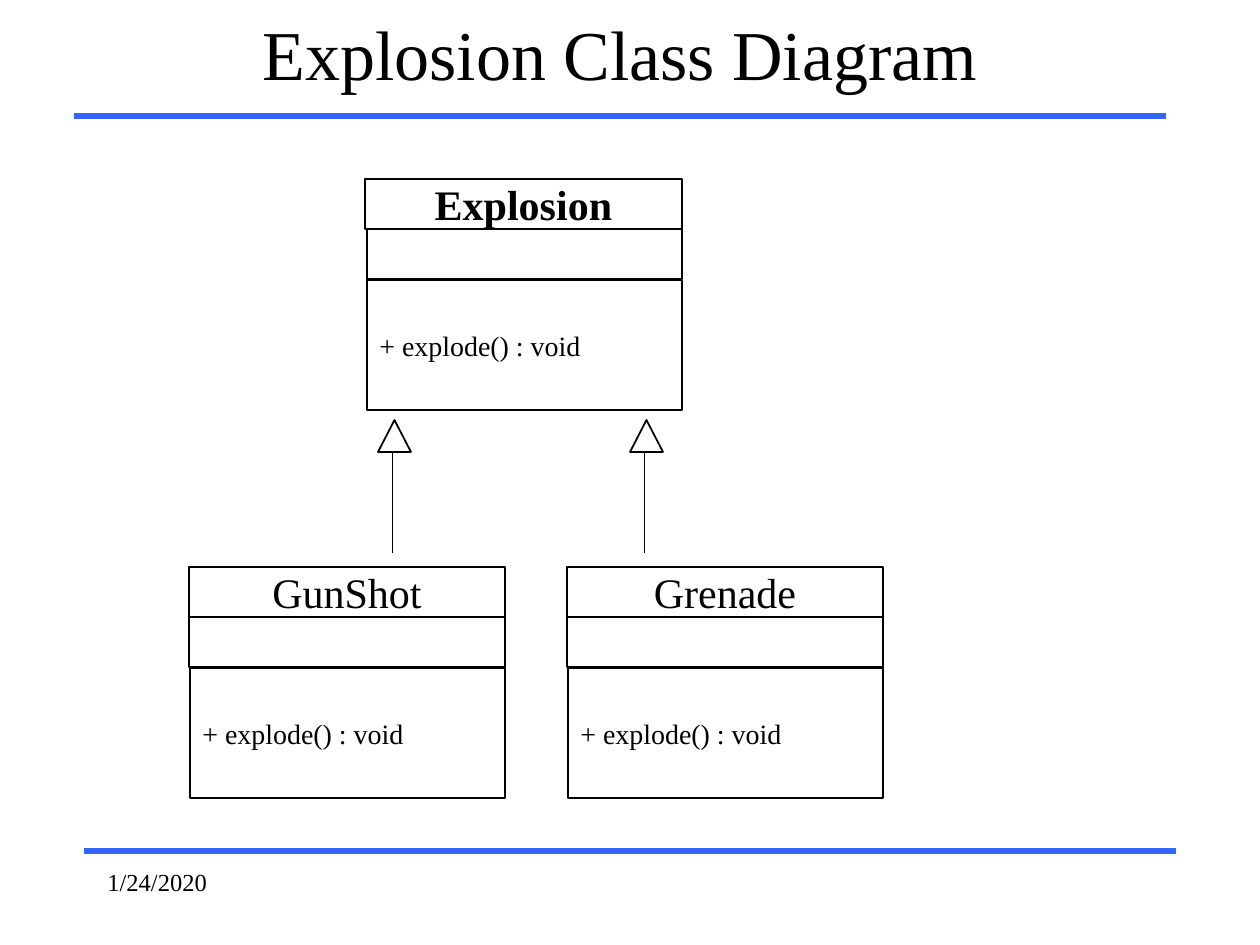
from dataclasses import dataclass

from lxml import etree
from pptx import Presentation
from pptx import util as u
from pptx.dml.color import RGBColor
from pptx.enum import shapes, text
from pptx.oxml import ns

BLACK = RGBColor(0x00, 0x00, 0x00)
WHITE = RGBColor(0xFF, 0xFF, 0xFF)
BLUE = RGBColor(0x33, 0x66, 0xFF)
FONT = "Times New Roman"
LEFT, MID = text.PP_ALIGN.LEFT, text.PP_ALIGN.CENTER
TOP, CORE = text.MSO_ANCHOR.TOP, text.MSO_ANCHOR.MIDDLE
WIDE, ROW, BODY = 316, 50, 130


@dataclass
class Class:
    name: str
    x: int
    y: int
    bold: bool = False
    shift: int = 0  # inset of the attribute row
    inset: int = 1  # inset of the method row


CLASSES = [
    Class("GunShot", 189, 567),
    Class("Explosion", 365, 179, True, 2, 2),
    Class("Grenade", 567, 567),
]
ARROWS = [378, 630]


def px(n: int) -> u.Emu:
    return u.Emu(round(n * u.Inches(1) / 126))


def write(shape, words: str, size: int, align, anchor, bold: bool = False) -> None:
    frame = shape.text_frame
    form = {"word_wrap": True, "vertical_anchor": anchor}
    for key, val in form.items():
        setattr(frame, key, val)
    para = frame.paragraphs[0]
    para.alignment = align
    run = para.add_run()
    run.text = words
    for key, val in {"name": FONT, "size": u.Pt(size), "bold": bold}.items():
        setattr(run.font, key, val)
    run.font.color.rgb = BLACK


def label(tree, box: tuple[int, ...], words: str, size: int, align, anchor) -> None:
    write(tree.add_textbox(*map(px, box)), words, size, align, anchor)


def block(tree, kind, box: tuple[int, ...], width: float):
    shape = tree.add_shape(kind, *map(px, box))
    shape.shadow.inherit = False
    shape.fill.solid()
    shape.fill.fore_color.rgb = WHITE
    shape.line.color.rgb = BLACK
    shape.line.width = u.Pt(width)
    return shape


def rule(tree, ends: tuple[int, ...], color: RGBColor, width: float) -> None:
    line = tree.add_connector(shapes.MSO_CONNECTOR.STRAIGHT, *map(px, ends))
    line.line.color.rgb = color
    line.line.width = u.Pt(width)
    etree.SubElement(line._element.spPr, ns.qn("a:effectLst"))


def draw_class(tree, c: Class) -> None:
    group = tree.add_group_shape().shapes
    rect = shapes.MSO_SHAPE.RECTANGLE
    right = c.x + WIDE + c.shift // 2
    rows = [(c.shift, ROW, ROW), (c.inset, 2 * ROW + 1, BODY), (0, 0, ROW)]
    parts = [
        block(group, rect, (c.x + dx, c.y + dy, right - c.x - dx, high), 0.75)
        for dx, dy, high in rows
    ]
    write(parts[1], "+ explode() : void", 16, LEFT, CORE)
    write(parts[2], c.name, 24, MID, CORE, c.bold)


def draw_arrow(tree, x: int) -> None:
    group = tree.add_group_shape().shapes
    rule(group, (x + 14, 553, x + 14, 437), BLACK, 0.5)
    block(group, shapes.MSO_SHAPE.ISOSCELES_TRIANGLE, (x, 420, 33, 32), 1)


def main() -> None:
    deck = Presentation()
    deck.slide_width, deck.slide_height = px(1260), px(945)
    tree = deck.slides.add_slide(deck.slide_layouts[6]).shapes

    # Frame: rules, title and date
    rule(tree, (84, 851, 1176, 851), BLUE, 3)
    rule(tree, (74, 116, 1166, 116), BLUE, 3)
    label(tree, (74, 0, 1092, 105), "Explosion Class Diagram", 40, MID, CORE)
    label(tree, (95, 861, 262, 63), "1/24/2020", 14, LEFT, TOP)

    # Class boxes and inheritance arrows
    for c in CLASSES:
        draw_class(tree, c)
    for x in ARROWS:
        draw_arrow(tree, x)

    deck.save("out.pptx")


if __name__ == "__main__":
    main()
